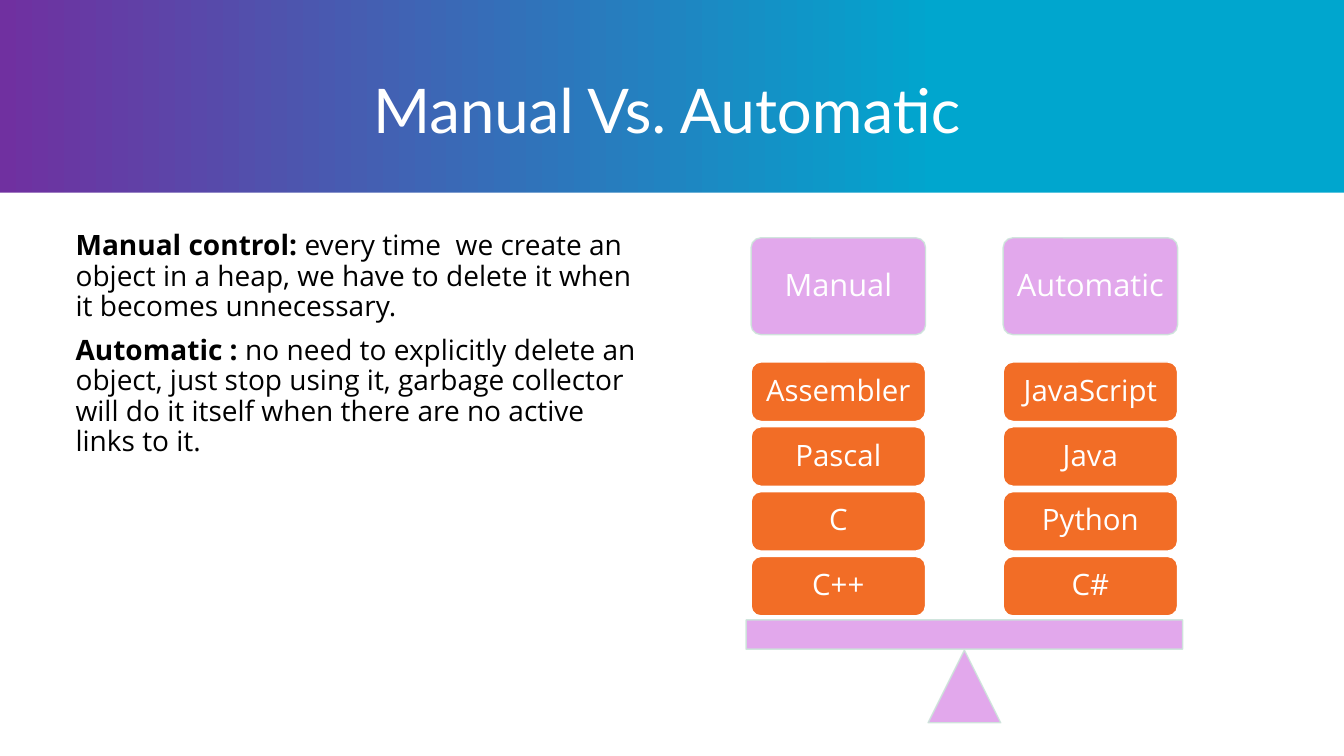
from dataclasses import dataclass

from lxml import etree
from pptx import Presentation
from pptx.dml.color import RGBColor
from pptx.enum.shapes import MSO_SHAPE
from pptx.enum.text import MSO_ANCHOR, PP_ALIGN
from pptx.oxml.ns import qn

PX = 9144  # 100 px to the inch
RECTANGLE = MSO_SHAPE.RECTANGLE
ROUNDED = MSO_SHAPE.ROUNDED_RECTANGLE
TRIANGLE = MSO_SHAPE.ISOSCELES_TRIANGLE
MIDDLE = MSO_ANCHOR.MIDDLE
CENTER = PP_ALIGN.CENTER
LEFT = PP_ALIGN.LEFT
TITLE_ONLY = 5


@dataclass(frozen=True)
class Theme:
    white: str = "FFFFFF"
    black: str = "000000"
    cyan: str = "00A6CE"
    purple: str = "7030A0"
    pink: str = "DF9FEB"
    pale_green: str = "CCE4DA"
    orange: str = "F26D26"
    title_font: str = "Lato"
    body_font: str = "Open Sans"
    title_size: int = 44
    body_size: int = 20
    heading_size: int = 22
    language_size: int = 21
    opacity: int = 90


THEME = Theme()
DEFINITIONS = [
    ("Manual control: ", "every time  we create an object in a heap, "
     "we have to delete it when it becomes unnecessary."),
    ("Automatic : ", "no need to explicitly delete an object, just stop using it, "
     "garbage collector will do it itself when there are no active links to it."),
]
# Languages are listed from the top of each stack
STACKS = {
    "Manual": ["Assembler", "Pascal", "C", "C++"],
    "Automatic": ["JavaScript", "Java", "Python", "C#"],
}


def px(*lengths):
    return [round(length * PX) for length in lengths]


def rgb(colour):
    return RGBColor.from_string(colour)


def set_insets(frame, left, top, right, bottom):
    (frame.margin_left, frame.margin_top,
     frame.margin_right, frame.margin_bottom) = px(left, top, right, bottom)
    frame.word_wrap = True


def format_para(para, font, size, colour, align=LEFT):
    para.font.name = font
    para.font.size = size * 12700
    para.font.color.rgb = rgb(colour)
    para.alignment = align
    para.line_spacing = 0.9


def add_block(page, kind, box, fill, line=None, opacity=100):
    shape = page.shapes.add_shape(kind, *px(*box))
    shape.shadow.inherit = False
    shape.fill.solid()
    shape.fill.fore_color.rgb = rgb(fill)
    if line:
        shape.line.color.rgb = rgb(line)
        shape.line.width = 12700
    else:
        shape.line.fill.background()
    if opacity < 100:
        for colour in shape._element.spPr.iter(qn("a:srgbClr")):
            etree.SubElement(colour, qn("a:alpha")).set("val", str(opacity * 1000))
    return shape


def add_pink(page, kind, box):
    return add_block(page, kind, box, THEME.pink, THEME.pale_green, THEME.opacity)


def write_label(shape, text, size):
    frame = shape.text_frame
    set_insets(frame, 10, 9, 10, 9)
    frame.vertical_anchor = MIDDLE
    para = frame.paragraphs[0]
    para.text = text
    format_para(para, THEME.body_font, size, THEME.white, CENTER)


def paint_background(page):
    fill = page.background.fill
    fill.gradient()
    fill.gradient_angle = 180
    stops = [(0.3, THEME.cyan), (1, THEME.purple)]
    for stop, (position, colour) in zip(fill.gradient_stops, stops):
        stop.position = position
        stop.color.rgb = rgb(colour)


def place_title(page, box, text):
    title = page.shapes.title
    title.left, title.top, title.width, title.height = px(*box)
    frame = title.text_frame
    set_insets(frame, 0, 5, 10, 5)
    frame.vertical_anchor = MIDDLE
    para = frame.paragraphs[0]
    para.text = text
    format_para(para, THEME.title_font, THEME.title_size, THEME.white, CENTER)


def add_definitions(page, box):
    frame = page.shapes.add_textbox(*px(*box)).text_frame
    set_insets(frame, 0, 5, 10, 5)
    for index, (term, meaning) in enumerate(DEFINITIONS):
        para = frame.add_paragraph() if index else frame.paragraphs[0]
        format_para(para, THEME.body_font, THEME.body_size, THEME.black)
        para.space_before = 10 * 12700
        span = para.add_run()
        span.text = term
        span.font.bold = True
        para.add_run().text = meaning


def add_balance(page, box):
    left, top, width, height = box
    block_width, heading_height, language_height = 173, 96, 59
    margin, column_pitch, row_pitch = 5, 250, 64.3
    pivot, beam_height = 72, 29
    beam_top = top + height - pivot - beam_height - 1

    # Pivot and beam
    add_pink(page, TRIANGLE, (left + (width - pivot) / 2, top + height - pivot, pivot, pivot))
    add_pink(page, RECTANGLE, (left, beam_top, width, beam_height))

    # Headings above stacks that rest on the beam
    for column, (heading, languages) in enumerate(STACKS.items()):
        x = left + margin + column * column_pitch
        shape = add_pink(page, ROUNDED, (x, top, block_width, heading_height))
        shape.adjustments[0] = 0.1
        write_label(shape, heading, THEME.heading_size)
        for level, language in enumerate(reversed(languages)):
            y = beam_top - 4 - language_height - level * row_pitch
            shape = add_block(page, ROUNDED, (x, y, block_width, language_height),
                              THEME.orange, THEME.white)
            write_label(shape, language, THEME.language_size)


def main():
    deck = Presentation()
    deck.slide_width, deck.slide_height = px(1333, 750)
    page = deck.slides.add_slide(deck.slide_layouts[TITLE_ONLY])
    paint_background(page)
    add_block(page, RECTANGLE, (0, 191, 1333, 559), THEME.white)
    place_title(page, (75, 75, 1183, 75), "Manual Vs. Automatic")
    add_definitions(page, (75, 225, 576, 366))
    add_balance(page, (740, 236, 433, 481))
    deck.save("out.pptx")


if __name__ == "__main__":
    main()
